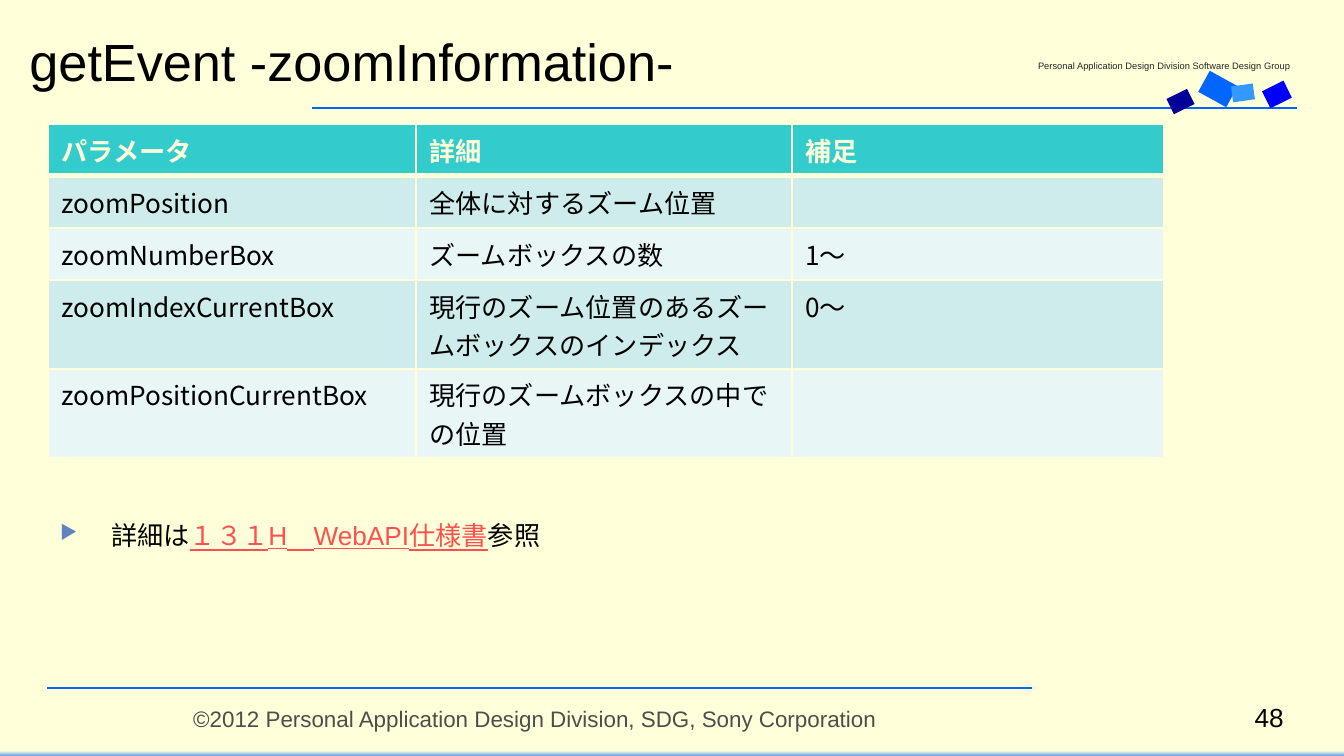
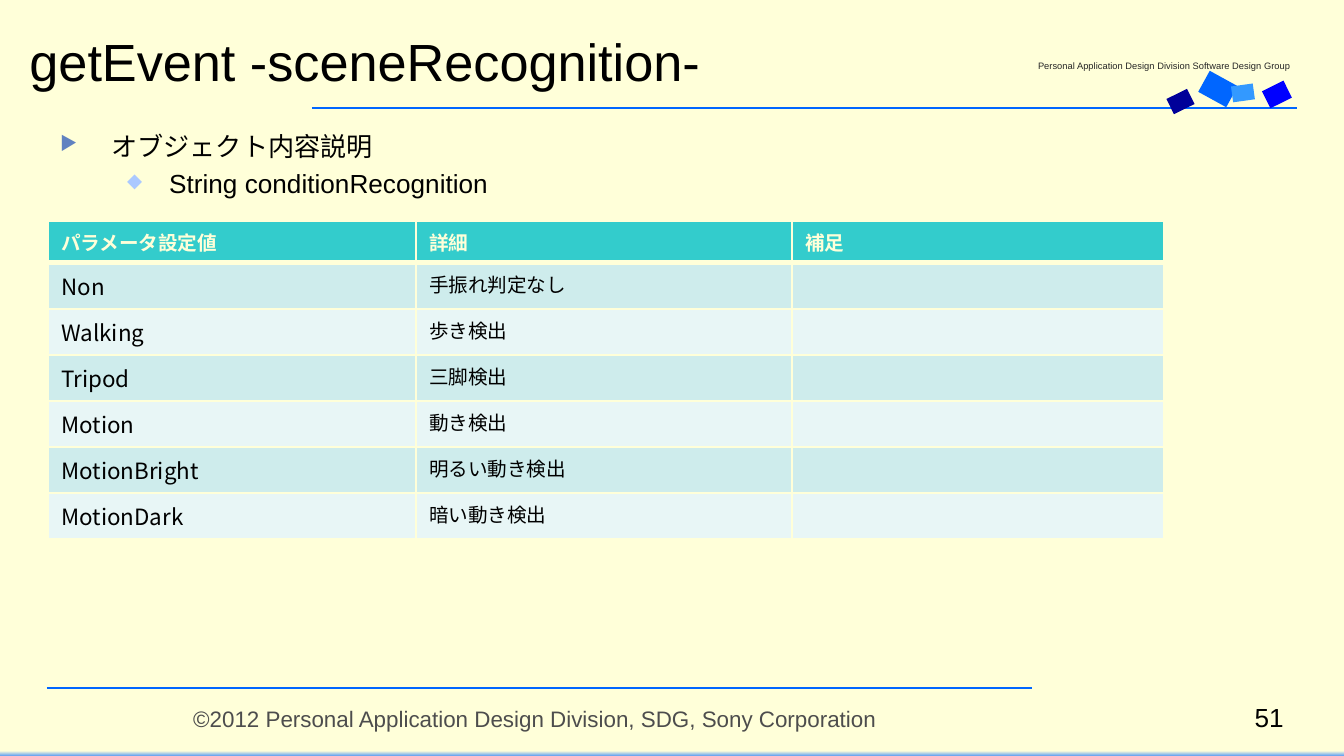
"""Build two getEvent reference slides with a shared frame."""
from lxml.etree import SubElement
from pptx import Presentation
from pptx.dml.color import RGBColor
from pptx.enum.shapes import MSO_CONNECTOR as CONN, MSO_SHAPE as SHAPE
from pptx.enum.text import MSO_ANCHOR as ANCHOR, MSO_AUTO_SIZE as AUTO, PP_ALIGN as ALIGN
from pptx.oxml.ns import qn
from pptx.util import Pt

SCALE = 914400 / 134.4
COLORS = {
    "cream": "FFFFD9", "blue": "0066FF", "sky": "3399FF", "pure": "0000FF",
    "navy": "000099", "teal": "33CCCC", "band": "CEECEC", "pale": "E8F6F6",
    "black": "000000", "dark": "262626", "gray": "4D4D4D", "red": "FF5050",
    "arrow": "6082C0", "diamond": "ABC9FF",
}
CJK = "Noto Sans CJK JP"
COLUMNS = (368, 376, 372)
BULLETS = (("▶", "arrow", 51, 51), ("◆", "diamond", 109, 42))
TILES = (
    (1202, 77, 32, 24, 28.8, "blue"),
    (1232, 85, 22, 16, 352.1, "sky"),
    (1265, 85, 24, 19, 333.7, "pure"),
    (1169, 93, 23, 17, 333.7, "navy"),
)


def px(*values):
    return [round(v * SCALE) for v in values]


def rgb(name):
    return RGBColor.from_string(COLORS[name])


def write(p, text, size=14, color="black", font="Arial", bold=False, underline=False, align=None):
    if align is not None:
        p.alignment = align
    r = p.add_run()
    r.text = text
    f = r.font
    f.size, f.bold, f.underline = Pt(size), bold, underline
    f.color.rgb = rgb(color)
    f.name = font
    SubElement(r._r.get_or_add_rPr(), qn("a:ea"), typeface=CJK)


def add_box(s, x, y, w, h, wrap=True, inset=None, anchor=ANCHOR.TOP):
    tf = s.shapes.add_textbox(*px(x, y, w, h)).text_frame
    tf.word_wrap, tf.vertical_anchor = wrap, anchor
    if inset is not None:
        tf.margin_left = tf.margin_right = tf.margin_top = tf.margin_bottom = inset
    return tf


def add_label(s, x, y, w, h, text, wrap=True, inset=None, anchor=ANCHOR.TOP, **fmt):
    write(add_box(s, x, y, w, h, wrap, inset, anchor).paragraphs[0], text, **fmt)


def add_rect(s, x, y, w, h):
    sp = s.shapes.add_shape(SHAPE.RECTANGLE, *px(x, y, w, h))
    sp.shadow.inherit = False
    sp.line.fill.background()
    return sp


def add_tile(s, x, y, w, h, angle, color):
    sp = add_rect(s, x, y, w, h)
    sp.rotation = angle
    sp.fill.solid()
    sp.fill.fore_color.rgb = rgb(color)


def add_rule(s, x1, x2, y):
    line = s.shapes.add_connector(CONN.STRAIGHT, *px(x1, y, x2, y))
    line.line.color.rgb = rgb("blue")
    line.line.width = Pt(1.25)
    SubElement(line._element.spPr, qn("a:effectLst"))


def add_bottom_band(s):
    fill = add_rect(s, 0, 751, 1344, 8).fill
    fill.gradient()
    fill.gradient_angle = 270
    for stop, position, color in zip(fill.gradient_stops, (0, 1), ("cream", "blue")):
        stop.position = position
        stop.color.rgb = rgb(color)


def add_title(s, text):
    sp = s.shapes.title
    sp.left, sp.top, sp.width, sp.height = px(16, 13, 973, 95)
    tf = sp.text_frame
    tf.auto_size, tf.word_wrap, tf.vertical_anchor = AUTO.NONE, True, ANCHOR.MIDDLE
    write(tf.paragraphs[0], text, size=28, align=ALIGN.LEFT)


def add_slide(prs, title, number):
    s = prs.slides.add_slide(prs.slide_layouts[5])
    s.background.fill.solid()
    s.background.fill.fore_color.rgb = rgb("cream")
    add_bottom_band(s)
    add_rule(s, 312, 1297, 108)
    for tile in TILES:
        add_tile(s, *tile)
    add_rule(s, 47, 1032, 688)
    add_label(s, 1038, 58, 257, 16,
              "Personal Application Design Division Software Design Group",
              wrap=False, inset=0, anchor=ANCHOR.MIDDLE, size=5, color="dark")
    add_title(s, title)
    add_label(s, 180, 699, 984, 52,
              "©2012 Personal Application Design Division, SDG, Sony Corporation",
              size=12, color="gray")
    add_label(s, 1191, 695, 106, 34, str(number), align=ALIGN.RIGHT)
    return s


def add_bullet(p, level):
    char, color, indent, hang = BULLETS[level]
    pPr = p._p.get_or_add_pPr()
    left, hanging = px(indent, hang)
    pPr.set("marL", str(left))
    pPr.set("indent", str(-hanging))
    if level:
        pPr.set("lvl", str(level))
        p.space_before = Pt(3)
    SubElement(SubElement(pPr, qn("a:buClr")), qn("a:srgbClr"), val=COLORS[color])
    SubElement(pPr, qn("a:buSzPct"), val="75000")
    SubElement(pPr, qn("a:buChar"), char=char)


def add_body(s, x, y, w, h, items):
    """Write (level, runs) items, each run a text with its format."""
    tf = add_box(s, x, y, w, h)
    for i, (level, runs) in enumerate(items):
        p = tf.add_paragraph() if i else tf.paragraphs[0]
        add_bullet(p, level)
        for text, fmt in runs:
            write(p, text, **fmt)


def set_borders(cell, row):
    tcPr = cell._tc.get_or_add_tcPr()
    for side in "LRTB":
        thick = (row, side) in ((0, "B"), (1, "T"))
        ln = SubElement(tcPr, qn(f"a:ln{side}"), w=str(Pt(3 if thick else 1)))
        SubElement(SubElement(ln, qn("a:solidFill")), qn("a:srgbClr"), val=COLORS["cream"])


def fill_cell(cell, row, text, **fmt):
    set_borders(cell, row)
    cell.fill.solid()
    cell.fill.fore_color.rgb = rgb("teal" if row == 0 else "band" if row % 2 else "pale")
    p = cell.text_frame.paragraphs[0]
    if text:
        write(p, text, **fmt)
    else:
        SubElement(p._p, qn("a:endParaRPr"), sz=str(round(fmt["size"] * 100)))


def add_grid(s, y, heights, rows, size, name_size):
    frame = s.shapes.add_table(len(rows), len(COLUMNS), *px(48, y, sum(COLUMNS), sum(heights)))
    table = frame.table
    for column, width in zip(table.columns, px(*COLUMNS)):
        column.width = width
    for row, height in zip(table.rows, px(*heights)):
        row.height = height
    for i, texts in enumerate(rows):
        for j, text in enumerate(texts):
            fill_cell(table.cell(i, j), i, text,
                      size=name_size if i and j == 0 else size,
                      color="black" if i else "cream", bold=i == 0,
                      font="Arial" if i == 1 and j == 1 else CJK)


def main():
    prs = Presentation()
    prs.slide_width, prs.slide_height = px(1344, 756)

    s = add_slide(prs, "getEvent -zoomInformation-", 48)
    add_grid(s, 124, (52, 52, 52, 89, 89), (
        ("パラメータ", "詳細", "補足"),
        ("zoomPosition", "全体に対するズーム位置", ""),
        ("zoomNumberBox", "ズームボックスの数", "1～"),
        ("zoomIndexCurrentBox", "現行のズーム位置のあるズームボックスのインデックス", "0～"),
        ("zoomPositionCurrentBox", "現行のズームボックスの中での位置", ""),
    ), size=14, name_size=14)
    add_body(s, 47, 513, 613, 173, [(0, [
        ("詳細は", {}),
        ("１３１H　WebAPI仕様書", dict(color="red", underline=True)),
        ("参照", {}),
    ])])

    s = add_slide(prs, "getEvent -sceneRecognition-", 51)
    add_grid(s, 221, (42,) + (46,) * 6, (
        ("パラメータ設定値", "詳細", "補足"),
        ("Non", "手振れ判定なし", ""),
        ("Walking", "歩き検出", ""),
        ("Tripod", "三脚検出", ""),
        ("Motion", "動き検出", ""),
        ("MotionBright", "明るい動き検出", ""),
        ("MotionDark", "暗い動き検出", ""),
    ), size=10.5, name_size=12)
    add_body(s, 47, 124, 613, 97, [
        (0, [("オブジェクト内容説明", {})]),
        (1, [("String conditionRecognition", {})]),
    ])

    prs.save("out.pptx")


if __name__ == "__main__":
    main()
